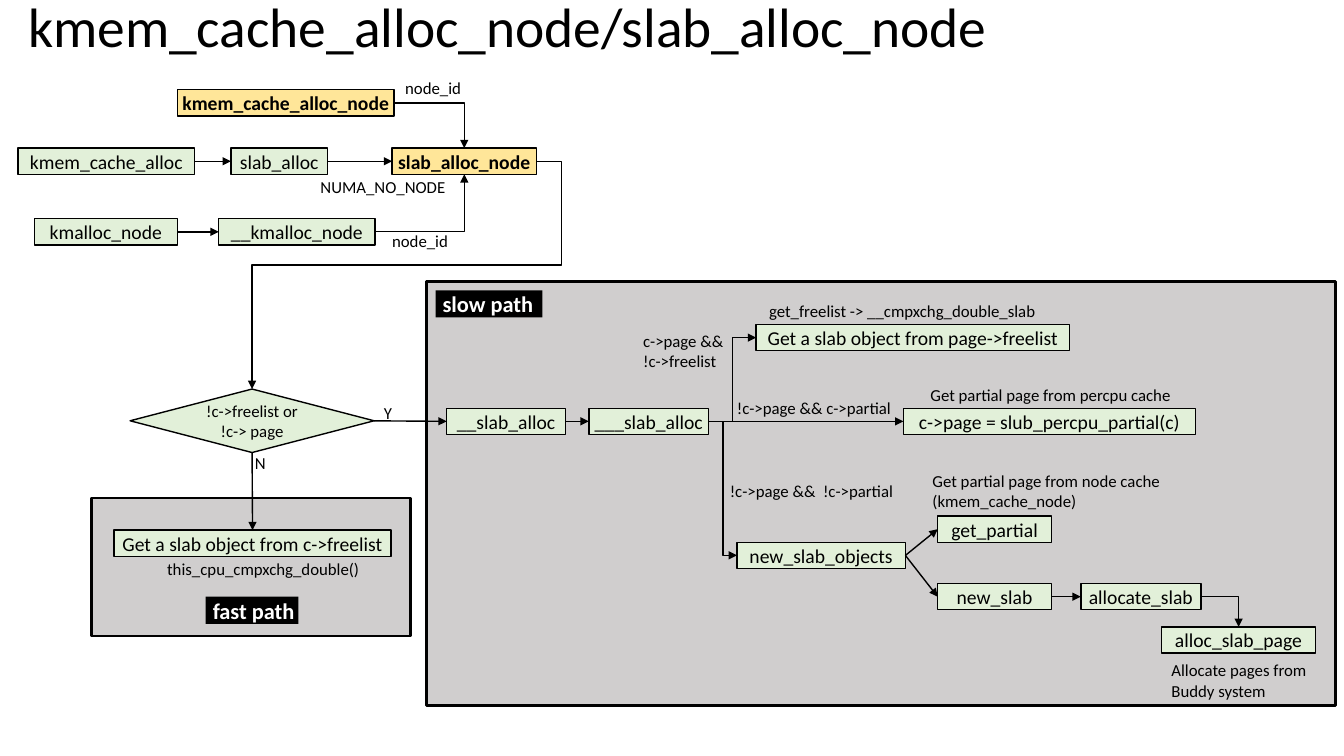
from lxml import etree
from pptx import Presentation
from pptx.dml.color import RGBColor
from pptx.enum import shapes, text
from pptx.oxml.ns import qn
from pptx.util import Inches, Pt

BLACK = RGBColor(0x00, 0x00, 0x00)
WHITE = RGBColor(0xFF, 0xFF, 0xFF)
GREEN = RGBColor(0xE2, 0xF0, 0xD9)
YELLOW = RGBColor(0xFF, 0xE6, 0x99)
GREY = RGBColor(0xD0, 0xCE, 0xCE)
FONT = "Calibri"
NODE_HEIGHT = 0.26
LINE_HEIGHT = 0.2
TOP, LEFT, BOTTOM, RIGHT = range(4)  # connection sites

TITLE = "kmem_cache_alloc_node/slab_alloc_node"

# left, top, width, height
PANELS = [(4.23, 2.79, 9.02, 4.21), (0.91, 4.94, 3.16, 1.37)]

# text, left, top, width
BADGES = [(" fast path", 2.04, 5.92, 0.92), (" slow path", 4.32, 2.88, 1.06)]

DECISION = "!c->freelist or\n!c-> page"
DECISION_AT = (1.29, 3.86, 2.42, 0.63)

FAST = "Get a slab object from c->freelist"
FREELIST = "Get a slab object from page->freelist"
PERCPU = "c->page = slub_percpu_partial(c)"

# text: left, top, width
FUNCTIONS = {
    "kmem_cache_alloc_node": (1.76, 0.89, 2.15),
    "kmem_cache_alloc": (0.18, 1.47, 1.75),
    "slab_alloc": (2.29, 1.47, 0.96),
    "slab_alloc_node": (3.89, 1.47, 1.43),
    "kmalloc_node": (0.34, 2.17, 1.42),
    "__kmalloc_node": (2.17, 2.17, 1.55),
    FAST: (1.13, 5.26, 2.75),
    "__slab_alloc": (4.43, 4.05, 1.18),
    "___slab_alloc": (5.84, 4.05, 1.19),
    FREELIST: (7.5, 3.22, 3.11),
    PERCPU: (8.96, 4.05, 2.9),
    "new_slab_objects": (7.31, 5.38, 1.67),
    "get_partial": (9.3, 5.12, 1.13),
    "new_slab": (9.3, 5.79, 1.13),
    "allocate_slab": (10.72, 5.79, 1.19),
    "alloc_slab_page": (11.52, 6.22, 1.53),
}
HIGHLIGHTED = {"kmem_cache_alloc_node", "slab_alloc_node"}

# caller, callee: straight arrows from right side to left side
STRAIGHT_CALLS = [
    ("kmem_cache_alloc", "slab_alloc"),
    ("slab_alloc", "slab_alloc_node"),
    ("kmalloc_node", "__kmalloc_node"),
    (DECISION, "__slab_alloc"),
    ("__slab_alloc", "___slab_alloc"),
    ("___slab_alloc", PERCPU),
    ("new_slab_objects", "get_partial"),
    ("new_slab_objects", "new_slab"),
    ("new_slab", "allocate_slab"),
]

# caller, callee, side entered, preset, bend positions
BENT_CALLS = [
    ("kmem_cache_alloc_node", "slab_alloc_node", TOP, "bentConnector2", ()),
    ("__kmalloc_node", "slab_alloc_node", BOTTOM, "bentConnector2", ()),
    ("allocate_slab", "alloc_slab_page", TOP, "bentConnector2", ()),
    ("___slab_alloc", FREELIST, LEFT, "bentConnector3", (0.5,)),
    ("___slab_alloc", "new_slab_objects", LEFT, "bentConnector3", (0.5,)),
    ("slab_alloc_node", DECISION, TOP, "bentConnector4", (-0.089, 0.455)),
]

# paragraphs, left, top, width, lines shown
LABELS = [
    (["node_id"], 3.92, 0.72, 0.8, 1),
    (["NUMA_NO_NODE"], 3.08, 1.7, 1.55, 1),
    (["node_id"], 3.79, 2.24, 0.8, 1),
    (["Y"], 3.71, 3.95, 0.31, 1),
    (["N"], 2.43, 4.44, 0.31, 1),
    (["this_cpu_cmpxchg_double()"], 1.56, 5.49, 2.26, 1),
    (["get_freelist -> __cmpxchg_double_slab"], 7.53, 2.93, 2.9, 1),
    (["c->page &&", "!c->freelist"], 6.28, 3.23, 1.06, 2),
    (["!c->page && c->partial"], 7.21, 3.9, 1.96, 1),
    (["Get partial page from percpu cache"], 9.13, 3.77, 2.71, 1),
    (["!c->page &&  !c->partial"], 7.14, 4.72, 1.86, 1),
    (["Get partial page from node cache (kmem_cache_node)"], 9.15, 4.62, 2.71, 2),
    (["Allocate pages from Buddy system"], 11.52, 6.5, 1.71, 2),
]

prs = Presentation()
prs.slide_width, prs.slide_height = Inches(13.33), Inches(7.5)
slide = prs.slides.add_slide(prs.slide_layouts[6])


def write(shape, paragraphs, size, color=BLACK, bold=False, align=text.PP_ALIGN.LEFT,
          anchor=text.MSO_ANCHOR.TOP, insets=(0.1, 0.05), wrap=True):
    """Fill a shape with text; insets are (sides, top and bottom)."""
    frame = shape.text_frame
    frame.word_wrap = wrap
    frame.vertical_anchor = anchor
    frame.margin_left = frame.margin_right = Inches(insets[0])
    frame.margin_top = frame.margin_bottom = Inches(insets[1])
    for i, content in enumerate(paragraphs):
        paragraph = frame.add_paragraph() if i else frame.paragraphs[0]
        paragraph.alignment = align
        for j, line in enumerate(content.split("\n")):
            if j:
                paragraph.add_line_break()
            run = paragraph.add_run()
            run.text = line
            run.font.name, run.font.size = FONT, Pt(size)
            run.font.bold, run.font.color.rgb = bold, color


def add_block(at, fill, line_width, preset=shapes.MSO_SHAPE.RECTANGLE):
    block = slide.shapes.add_shape(preset, *map(Inches, at))
    block.shadow.inherit = False
    block.fill.solid()
    block.fill.fore_color.rgb = fill
    if line_width:
        block.line.color.rgb = BLACK
        block.line.width = Pt(line_width)
    else:
        block.line.fill.background()
    return block


def add_arrow(caller, exit_side, callee, entry_side, preset=None, bends=()):
    kind = shapes.MSO_CONNECTOR.ELBOW if preset else shapes.MSO_CONNECTOR.STRAIGHT
    arrow = slide.shapes.add_connector(kind, 0, 0, 0, 0)
    arrow.begin_connect(nodes[caller], exit_side)
    arrow.end_connect(nodes[callee], entry_side)
    arrow.line.color.rgb = BLACK
    arrow.line.width = Pt(1)
    properties = arrow.element.spPr
    if preset:
        geometry = properties.find(qn("a:prstGeom"))
        geometry.set("prst", preset)
        adjustments = geometry.find(qn("a:avLst"))
        for i, bend in enumerate(bends, 1):
            etree.SubElement(adjustments, qn("a:gd"), name=f"adj{i}",
                             fmla=f"val {round(bend * 100000)}")
    etree.SubElement(properties.find(qn("a:ln")), qn("a:tailEnd"), type="triangle")
    etree.SubElement(properties, qn("a:effectLst"))


title = slide.shapes.add_textbox(*map(Inches, (0.18, -0.08, 12.41, 0.75)))
write(title, [TITLE], 39.6, anchor=text.MSO_ANCHOR.MIDDLE)
title.text_frame.paragraphs[0].line_spacing = 0.9

for panel_at in PANELS:
    add_block(panel_at, GREY, 2)

centred = dict(align=text.PP_ALIGN.CENTER, anchor=text.MSO_ANCHOR.MIDDLE, wrap=False)
nodes = {DECISION: add_block(DECISION_AT, GREEN, 1,
                             shapes.MSO_SHAPE.FLOWCHART_DECISION)}
write(nodes[DECISION], [DECISION], 12, insets=(0, 0), **centred)
for function, at in FUNCTIONS.items():
    highlighted = function in HIGHLIGHTED
    nodes[function] = add_block((*at, NODE_HEIGHT), YELLOW if highlighted else GREEN, 1)
    write(nodes[function], [function], 14, bold=highlighted, insets=(0.05, 0.05), **centred)

for caller, callee in STRAIGHT_CALLS:
    add_arrow(caller, RIGHT, callee, LEFT)
add_arrow(DECISION, BOTTOM, FAST, TOP)
for caller, callee, side, preset, bends in BENT_CALLS:
    add_arrow(caller, RIGHT, callee, side, preset, bends)

for paragraphs, left, top, width, lines in LABELS:
    label_at = (left, top, width, 0.1 + lines * LINE_HEIGHT)
    write(slide.shapes.add_textbox(*map(Inches, label_at)), paragraphs, 12)

for badge, *at in BADGES:
    write(add_block((*at, 0.27), BLACK, 0), [badge], 16, WHITE, bold=True,
          insets=(0.02, 0), wrap=False)

prs.save("out.pptx")
